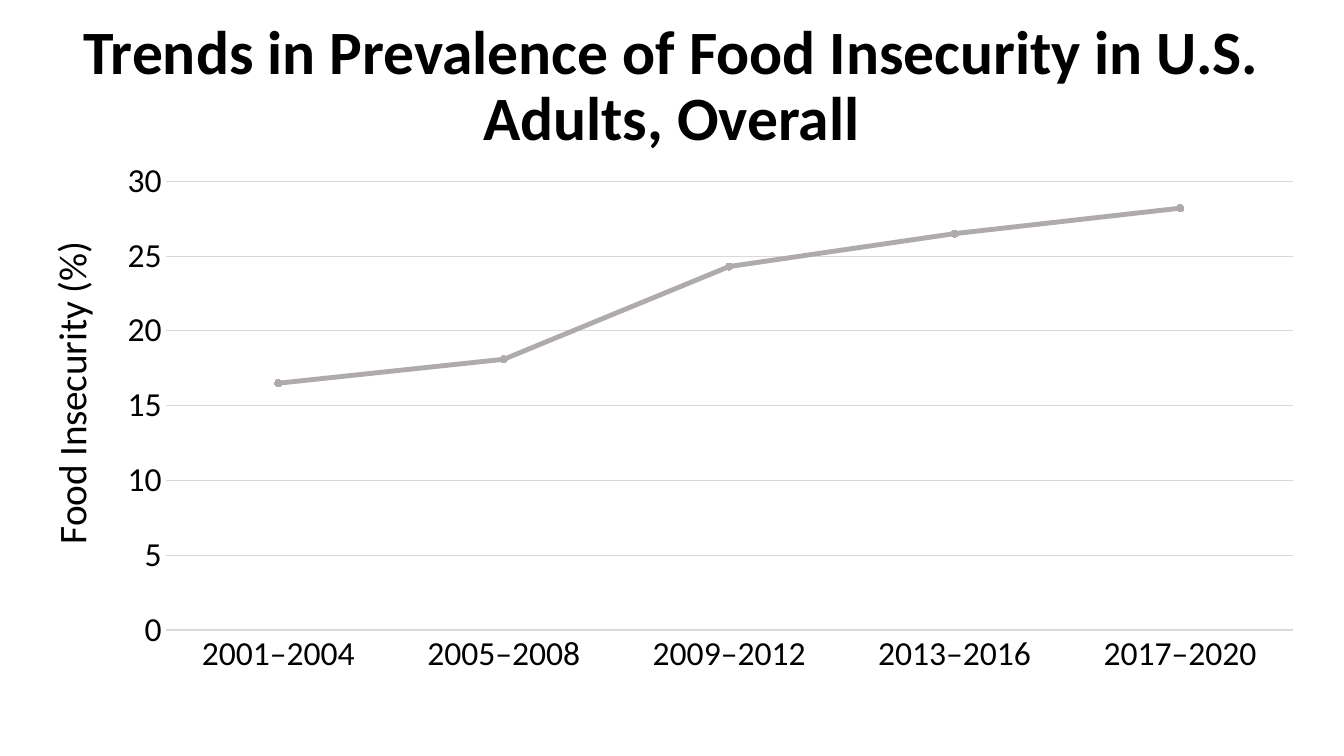
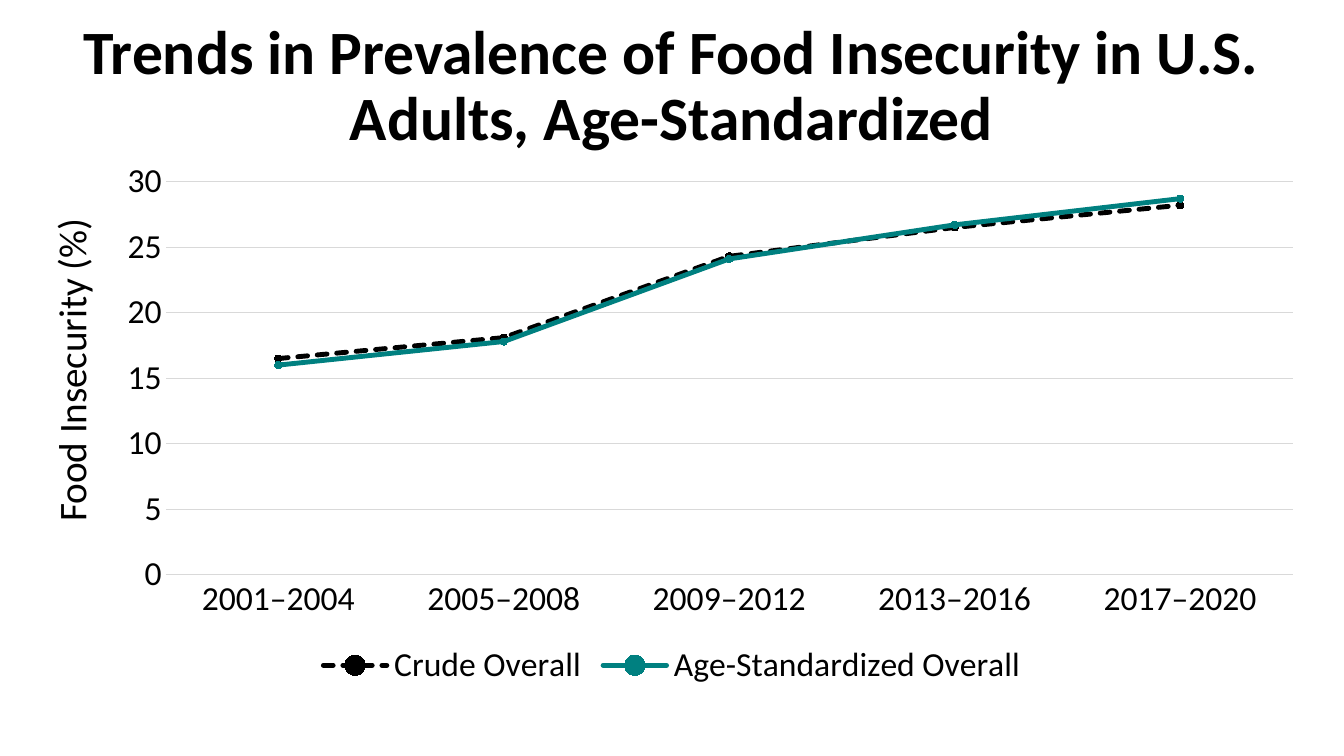
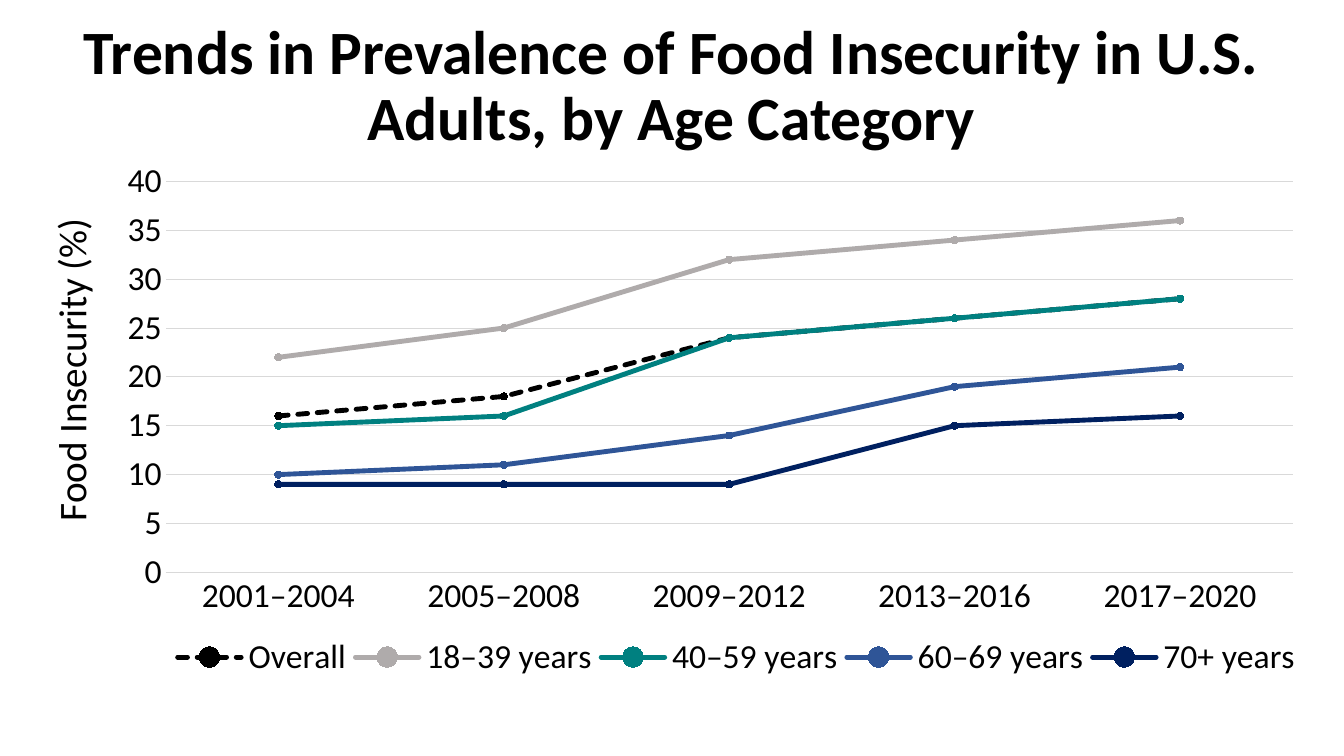
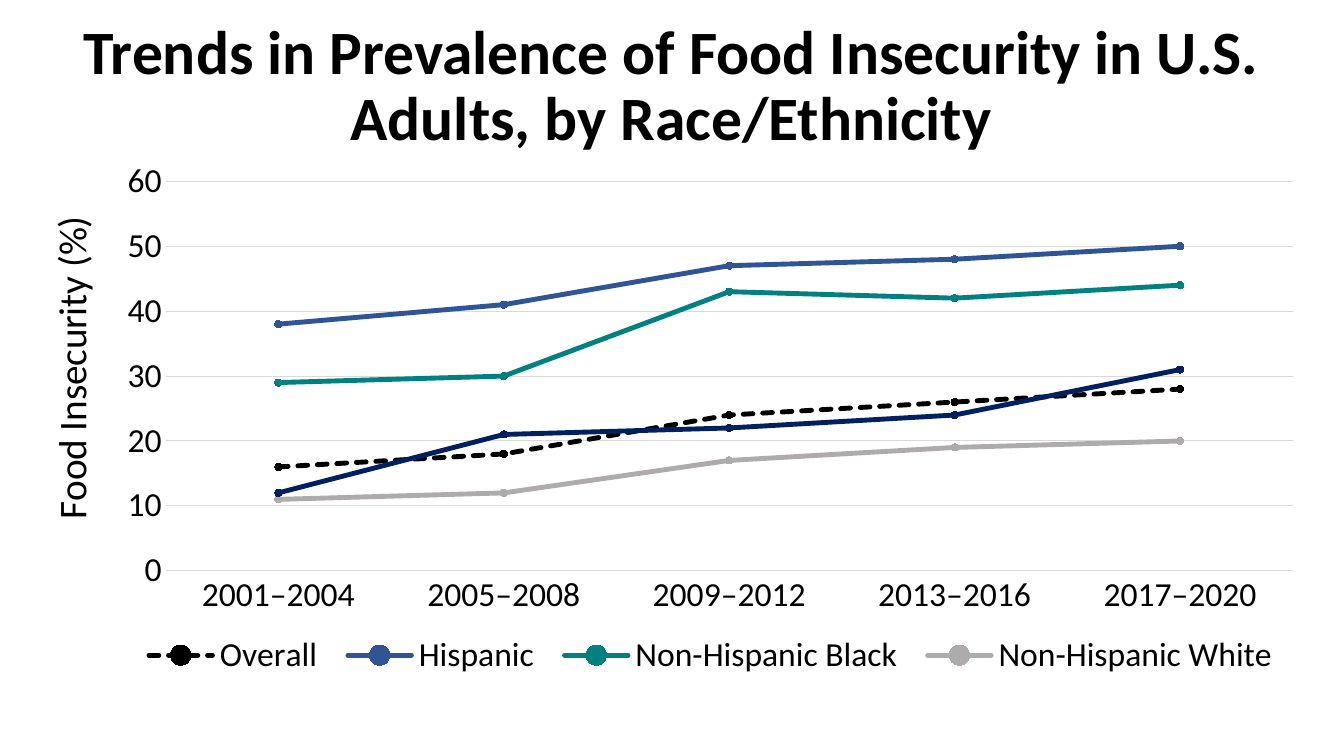
import pptx
import pptx.chart.data
import pptx.dml.color
import pptx.enum.chart
import pptx.enum.dml
import pptx.enum.text
import pptx.oxml
import pptx.oxml.ns
import pptx.util
from dataclasses import dataclass

Pt = pptx.util.Pt
qn = pptx.oxml.ns.qn


@dataclass(frozen=True)
class Theme:
    font: str = "Calibri"
    black: str = "000000"
    grey: str = "AFABAB"
    teal: str = "008080"
    blue: str = "2F5597"
    navy: str = "002060"
    grid: str = "D9D9D9"
    white: str = "FFFFFF"
    title_size: int = 44
    axis_title_size: int = 28
    label_size: int = 24
    chart_size: int = 10
    line_width: float = 3.5
    grid_width: float = 0.75
    marker_size: int = 5


THEME = Theme()
PAGE = (960, 540)
LEFT, WIDTH = 18.72, 922.32
TITLE_TOP, TITLE_HEIGHT = 17.28, 90.72
CHART_TOP = 107.28
PLOT_LEFT, PLOT_TOP, PLOT_WIDTH = 0.108, 0.058, 0.873

TITLE_START = "Trends in Prevalence of Food Insecurity in U.S. Adults, "
AXIS_TITLE = "Food Insecurity (%)"
PERIODS = ["2001–2004", "2005–2008", "2009–2012", "2013–2016", "2017–2020"]
CRUDE = [16.5, 18.1, 24.3, 26.5, 28.2]
OVERALL = ("Overall", [16, 18, 24, 26, 28], THEME.black, True)

SLIDES = [
    dict(topic="Overall", height=383, maximum=30, step=5, plot_height=0.837,
         axis_title_top=0.158, legend=None, unlisted=[],
         series=[("Series 1", CRUDE, THEME.grey, False)]),
    dict(topic="Age-Standardized", height=387.4, maximum=30, step=5, plot_height=0.725,
         axis_title_top=0.114, legend="automatic", unlisted=[],
         series=[("Crude Overall", CRUDE, THEME.black, True),
                 ("Age-Standardized Overall", [16, 17.8, 24.1, 26.7, 28.7], THEME.teal, False)]),
    dict(topic="by Age Category", height=385.2, maximum=40, step=5, plot_height=0.725,
         axis_title_top=0.114, legend=(0.11, 0.89, 0.88, 0.1), unlisted=[],
         series=[OVERALL,
                 ("18–39 years", [22, 25, 32, 34, 36], THEME.grey, False),
                 ("40–59 years", [15, 16, 24, 26, 28], THEME.teal, False),
                 ("60–69 years", [10, 11, 14, 19, 21], THEME.blue, False),
                 ("70+ years", [9, 9, 9, 15, 16], THEME.navy, False)]),
    dict(topic="by Race/Ethnicity", height=383.8, maximum=60, step=10, plot_height=0.725,
         axis_title_top=0.11, legend=(0.08, 0.89, 0.9, 0.1), unlisted=[4],
         series=[OVERALL,
                 ("Hispanic", [38, 41, 47, 48, 50], THEME.blue, False),
                 ("Non-Hispanic Black", [29, 30, 43, 42, 44], THEME.teal, False),
                 ("Non-Hispanic White", [11, 12, 17, 19, 20], THEME.grey, False),
                 ("Other", [12, 21, 22, 24, 31], THEME.navy, False)]),
]


def rgb(value):
    return pptx.dml.color.RGBColor.from_string(value)


def style_font(font, size, bold=False):
    font.name = THEME.font
    font.size = Pt(size)
    font.bold = bold
    font.color.rgb = rgb(THEME.black)


def style_line(line, color, width):
    line.color.rgb = rgb(color)
    line.width = Pt(width)


def child(parent, tag, value):
    element = parent.makeelement(qn(tag), {"val": str(value)})
    parent.append(element)


def place(parent, index, inner=False, **fractions):
    for old in parent.findall(qn("c:layout")):
        parent.remove(old)
    layout = parent.makeelement(qn("c:layout"), {})
    manual = layout.makeelement(qn("c:manualLayout"), {})
    layout.append(manual)
    if inner:
        child(manual, "c:layoutTarget", "inner")
    for key in ("xMode", "yMode"):
        child(manual, "c:" + key, "edge")
    for key, value in fractions.items():
        child(manual, "c:" + key, value)
    parent.insert(index, layout)


def add_title(slide, topic):
    box = slide.shapes.add_textbox(Pt(LEFT), Pt(TITLE_TOP), Pt(WIDTH), Pt(TITLE_HEIGHT))
    frame = box.text_frame
    frame.word_wrap = True
    frame.vertical_anchor = pptx.enum.text.MSO_ANCHOR.MIDDLE
    paragraph = frame.paragraphs[0]
    paragraph.alignment = pptx.enum.text.PP_ALIGN.CENTER
    paragraph.line_spacing = 0.9
    run = paragraph.add_run()
    run.text = TITLE_START + topic
    style_font(run.font, THEME.title_size, bold=True)


def style_axes(chart, content):
    for axis in (chart.category_axis, chart.value_axis):
        axis.major_tick_mark = axis.minor_tick_mark = pptx.enum.chart.XL_TICK_MARK.NONE
        style_font(axis.tick_labels.font, THEME.label_size)
    style_line(chart.category_axis.format.line, THEME.grid, THEME.grid_width)
    axis = chart.value_axis
    axis.format.line.fill.background()
    axis.minimum_scale = 0
    axis.maximum_scale = content["maximum"]
    axis.major_unit = content["step"]
    style_line(axis.major_gridlines.format.line, THEME.grid, THEME.grid_width)
    run = axis.axis_title.text_frame.paragraphs[0].add_run()
    run.text = AXIS_TITLE
    style_font(run.font, THEME.axis_title_size)
    place(axis.axis_title._element, 1, x=0.009, y=content["axis_title_top"])
    place(axis._element.getparent(), 0, inner=True, x=PLOT_LEFT, y=PLOT_TOP,
          w=PLOT_WIDTH, h=content["plot_height"])


def style_series(series, color, dashed):
    series.smooth = False
    style_line(series.format.line, color, THEME.line_width)
    if dashed:
        series.format.line.dash_style = pptx.enum.dml.MSO_LINE.SQUARE_DOT
    series._element.find(qn("c:spPr")).find(qn("a:ln")).set("cap", "rnd")
    marker = series.marker
    marker.style = pptx.enum.chart.XL_MARKER_STYLE.CIRCLE
    marker.size = THEME.marker_size
    marker.format.fill.solid()
    marker.format.fill.fore_color.rgb = rgb(color)
    marker.format.line.color.rgb = rgb(color)


def add_legend(chart, position, unlisted):
    chart.has_legend = True
    legend = chart.legend
    legend.position = pptx.enum.chart.XL_LEGEND_POSITION.BOTTOM
    legend.include_in_layout = False
    style_font(legend.font, THEME.label_size)
    if position != "automatic":
        place(legend._element, 1, **dict(zip("xywh", position)))
    for index in unlisted:
        entry = legend._element.makeelement(qn("c:legendEntry"), {})
        child(entry, "c:idx", index)
        child(entry, "c:delete", 1)
        legend._element.insert(1, entry)


def add_trend_chart(slide, content):
    data = pptx.chart.data.CategoryChartData()
    data.categories = PERIODS
    for name, values, color, dashed in content["series"]:
        data.add_series(name, values)
    chart = slide.shapes.add_chart(
        pptx.enum.chart.XL_CHART_TYPE.LINE_MARKERS, Pt(LEFT), Pt(CHART_TOP),
        Pt(WIDTH), Pt(content["height"]), data).chart
    chart.has_title = False
    chart.has_legend = False
    style_font(chart.font, THEME.chart_size)
    chart.plots[0].vary_by_categories = False
    style_axes(chart, content)
    for series, (name, values, color, dashed) in zip(chart.plots[0].series, content["series"]):
        style_series(series, color, dashed)
    if content["legend"]:
        add_legend(chart, content["legend"], content["unlisted"])


def main():
    presentation = pptx.Presentation()
    presentation.slide_width, presentation.slide_height = map(Pt, PAGE)
    for content in SLIDES:
        slide = presentation.slides.add_slide(presentation.slide_layouts[6])
        slide.background.fill.solid()
        slide.background.fill.fore_color.rgb = rgb(THEME.white)
        add_title(slide, content["topic"])
        add_trend_chart(slide, content)
    presentation.save("out.pptx")


if __name__ == "__main__":
    main()
